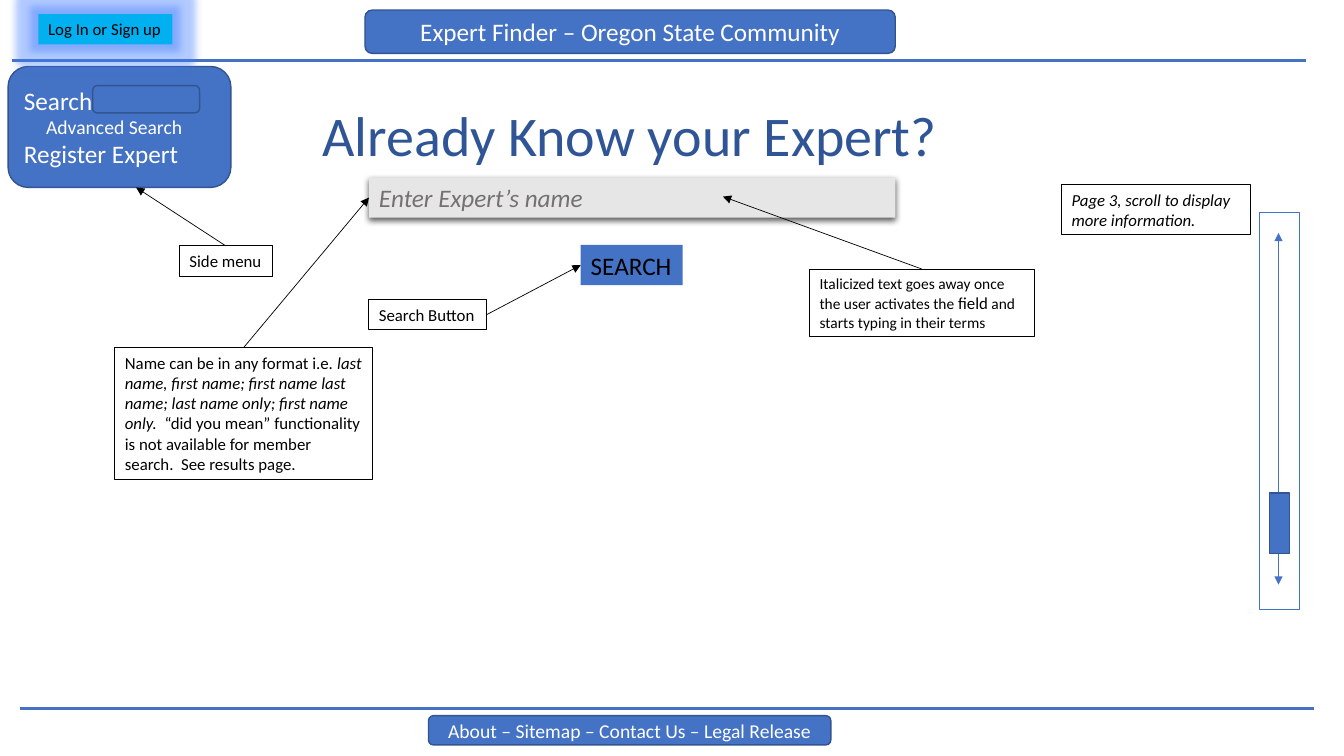
from lxml import etree
from pptx import Presentation
from pptx.dml.color import RGBColor
from pptx.enum.shapes import MSO_CONNECTOR, MSO_SHAPE
from pptx.enum.text import MSO_ANCHOR, MSO_AUTO_SIZE, PP_ALIGN
from pptx.oxml.ns import qn
from pptx.util import Inches, Pt

RECT, ROUNDED = MSO_SHAPE.RECTANGLE, MSO_SHAPE.ROUNDED_RECTANGLE
STRAIGHT = MSO_CONNECTOR.STRAIGHT
LEFT, CENTER = PP_ALIGN.LEFT, PP_ALIGN.CENTER
TOP, MIDDLE = MSO_ANCHOR.TOP, MSO_ANCHOR.MIDDLE
GROW, FIXED = MSO_AUTO_SIZE.SHAPE_TO_FIT_TEXT, MSO_AUTO_SIZE.NONE
TOP_SIDE, LEFT_SIDE, RIGHT_SIDE = 0, 1, 3

FONT = "Calibri"
BLUE, DARK_BLUE, TITLE_BLUE = "4472C4", "325491", "2F5597"
LOGIN_BLUE, GLOW_BLUE = "00B0F0", "3F7BFF"
BLACK, WHITE, FIELD_GRAY, HINT_GRAY = "000000", "FFFFFF", "E7E6E6", "767171"


def rgb(value):
    """Turn a hex string into a colour."""
    return RGBColor.from_string(value)


def write(shape, paragraphs, size=12, color=BLACK, italic=False, align=LEFT,
          anchor=TOP, wrap=True, fit=GROW):
    """Fill a shape with paragraphs of (text, format changes) runs."""
    frame = shape.text_frame
    frame.word_wrap, frame.auto_size = wrap, fit
    frame.vertical_anchor = anchor
    for index, runs in enumerate(paragraphs):
        paragraph = frame.add_paragraph() if index else frame.paragraphs[0]
        paragraph.alignment = align
        for words, changes in runs:
            run = paragraph.add_run()
            run.text = words
            run.font.name = FONT
            run.font.size = Pt(changes.get("size", size))
            run.font.italic = changes.get("italic", italic)
            run.font.color.rgb = rgb(color)
    return frame


def add_box(slide, place, kind=RECT, fill=None, line=None, width=1):
    """Add a preset shape with an optional fill and outline."""
    box = slide.shapes.add_shape(kind, *map(Inches, place))
    box.shadow.inherit = False
    if fill:
        box.fill.solid()
        box.fill.fore_color.rgb = rgb(fill)
    else:
        box.fill.background()
    if line:
        box.line.color.rgb = rgb(line)
        box.line.width = Pt(width)
    else:
        box.line.fill.background()
    return box


def add_effect(shape, kind, color, opacity, **settings):
    """Put a glow or shadow in the effect list of a shape."""
    effects = shape.element.spPr.find(qn("a:effectLst"))
    effect = etree.SubElement(effects, qn(f"a:{kind}"), settings)
    tint = etree.SubElement(effect, qn("a:srgbClr"), val=color)
    etree.SubElement(tint, qn("a:alpha"), val=str(opacity * 1000))


def add_line(slide, start, end, color=BLACK, width=0.5, heads=()):
    """Add a straight line with triangles at the named ends."""
    line = slide.shapes.add_connector(STRAIGHT, *map(Inches, start + end))
    line.line.color.rgb = rgb(color)
    line.line.width = Pt(width)
    for head in heads:
        etree.SubElement(line.line._get_or_add_ln(), qn(f"a:{head}"), type="triangle")
    etree.SubElement(line._element.spPr, qn("a:effectLst"))
    return line


def add_bar(slide, place, label, size):
    """Add a rounded blue bar with a centred label."""
    bar = add_box(slide, place, ROUNDED, BLUE, DARK_BLUE)
    write(bar, [[(label, {})]], size=size, color=WHITE, align=CENTER, anchor=MIDDLE, fit=FIXED)


def add_note(slide, place, runs, **style):
    """Add an outlined annotation."""
    note = add_box(slide, place, line=BLACK, width=0.75)
    write(note, [runs], **style)
    return note


def add_pointer(slide, note, side, start, end, target=None):
    """Join a note to its target with an arrow."""
    pointer = add_line(slide, start, end, heads=["tailEnd"])
    pointer.begin_connect(note, side)
    if target is not None:
        pointer.end_connect(target, LEFT_SIDE)


def add_side_menu(slide):
    """Add the menu with its small search field."""
    menu = add_box(slide, (0.08, 0.66, 2.21, 1.2), ROUNDED, BLUE, DARK_BLUE)
    entries = [[("Search", {})], [("Advanced Search", {"size": 14})], [("Register Expert", {})]]
    frame = write(menu, entries, size=18, color=WHITE, anchor=MIDDLE, fit=FIXED)
    indent = frame.paragraphs[1]._p.get_or_add_pPr()
    indent.set("marL", str(Inches(0.22)))
    add_box(slide, (0.92, 0.85, 1.06, 0.27), ROUNDED, BLUE, DARK_BLUE)


def add_header_and_footer(slide):
    """Add the page bars and their rules."""
    add_line(slide, (0.12, 0.6), (12.95, 0.6), BLUE, 2.25)
    add_bar(slide, (3.62, 0.1, 5.26, 0.43), "Expert Finder – Oregon State Community", 18)
    add_line(slide, (0.2, 7.03), (13.03, 7.03), BLUE, 2.25)
    add_bar(slide, (4.25, 7.1, 3.99, 0.29), "About – Sitemap – Contact Us – Legal Release", 14)


def add_search_form(slide):
    """Add the heading, name field and buttons."""
    heading = slide.shapes.add_textbox(*map(Inches, (3.1, 0.95, 6.3, 0.77)))
    write(heading, [[("Already Know your Expert?", {})]], size=40, color=TITLE_BLUE)
    field = add_box(slide, (3.66, 1.76, 5.22, 0.4), fill=FIELD_GRAY)
    add_effect(field, "outerShdw", BLACK, 63, blurRad=str(Pt(4.5)), dist=str(Pt(1.5)),
               dir="5400000", algn="ctr", rotWithShape="0")
    write(field, [[("Enter Expert’s name", {})]], size=18, color=HINT_GRAY, italic=True)
    button = add_box(slide, (5.76, 2.43, 1.01, 0.4), fill=BLUE)
    write(button, [[("SEARCH", {})]], size=18, wrap=False)
    login = add_box(slide, (0.38, 0.14, 1.33, 0.3), fill=LOGIN_BLUE)
    add_effect(login, "glow", GLOW_BLUE, 40, rad=str(Pt(11)))
    write(login, [[("Log In or Sign up", {})]], wrap=False)
    return field, button


def add_notes(slide, field, button):
    """Add the annotations and their arrows."""
    hint_note = add_note(slide, (8.03, 2.67, 2.23, 0.67), [
        ("Italicized text goes away once the user activates the ", {}),
        ("field", {"size": 12}),
        (" and starts typing in their terms", {})], size=11)
    add_pointer(slide, hint_note, TOP_SIDE, (9.14, 2.67), (7.17, 1.95))
    button_note = add_note(slide, (3.66, 2.97, 1.17, 0.3), [("Search Button", {})])
    add_pointer(slide, button_note, RIGHT_SIDE, (4.83, 3.12), (5.76, 2.63), button)
    menu_note = add_note(slide, (1.78, 2.44, 0.92, 0.3), [("Side menu", {})])
    add_pointer(slide, menu_note, TOP_SIDE, (2.24, 2.44), (1.35, 1.86))
    name_note = add_note(slide, (1.14, 3.45, 2.55, 1.31), [
        ("Name can be in any format i.e. ", {}),
        ("last name, first name; first name last name; last name only; "
         "first name only.", {"italic": True}),
        ("  “did you mean” functionality is not available for member search.  "
         "See results page.", {})])
    add_pointer(slide, name_note, TOP_SIDE, (2.42, 3.45), (3.66, 1.96), field)


def add_scroll_bar(slide):
    """Add the scroll track, its handle and its note."""
    add_box(slide, (12.49, 2.11, 0.4, 3.94), fill=WHITE, line=BLUE)
    add_line(slide, (12.68, 2.31), (12.68, 5.8), BLUE, heads=["headEnd", "tailEnd"])
    add_box(slide, (12.59, 4.89, 0.2, 0.6), fill=BLUE, line=DARK_BLUE)
    add_note(slide, (10.53, 1.83, 1.87, 0.5),
             [("Page 3, scroll to display more information.", {})], italic=True)


def main():
    """Build and save the slide."""
    deck = Presentation()
    deck.slide_width, deck.slide_height = Inches(13.33), Inches(7.5)
    slide = deck.slides.add_slide(deck.slide_layouts[6])
    add_side_menu(slide)
    add_header_and_footer(slide)
    field, button = add_search_form(slide)
    add_notes(slide, field, button)
    add_scroll_bar(slide)
    deck.save("out.pptx")


if __name__ == "__main__":
    main()
